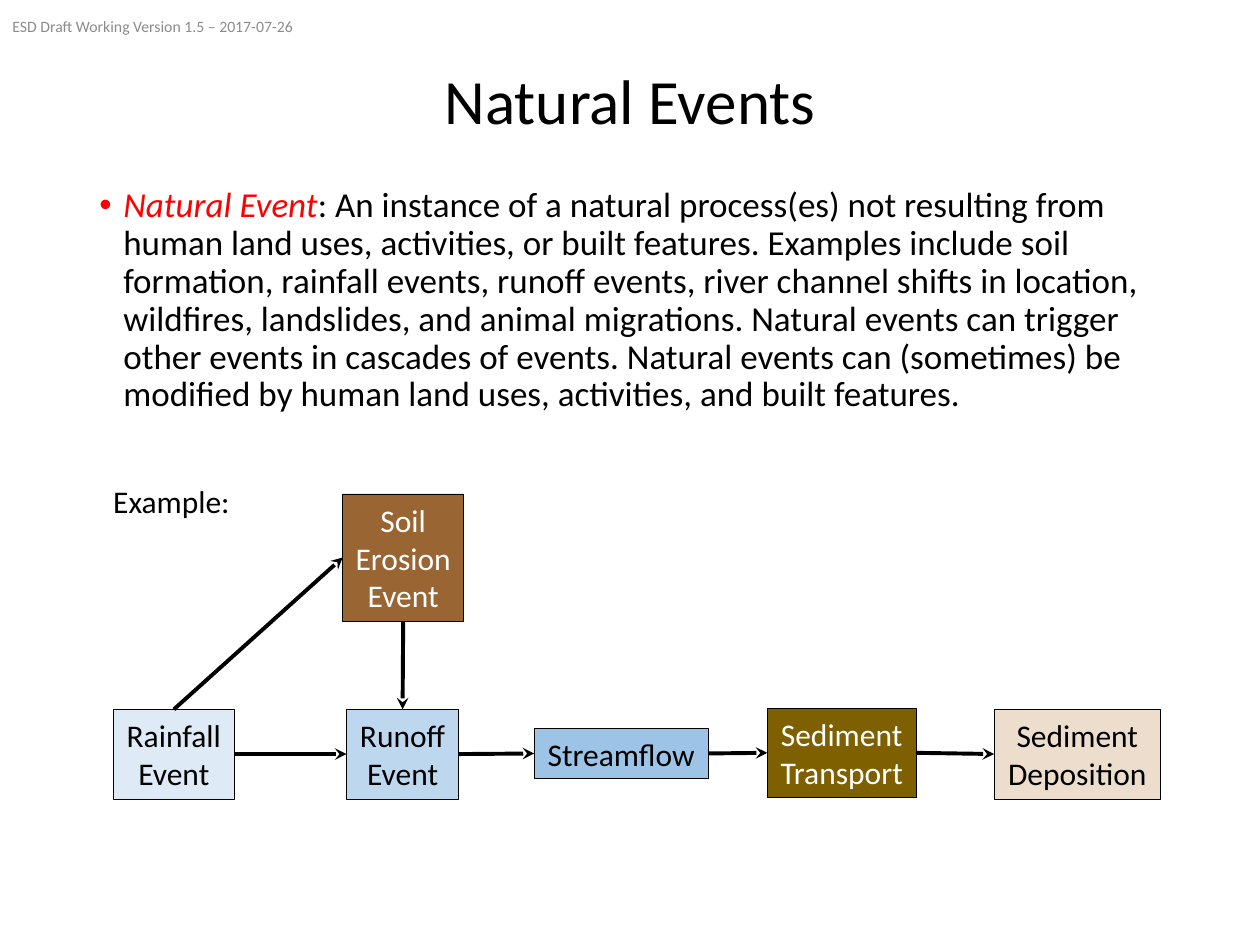
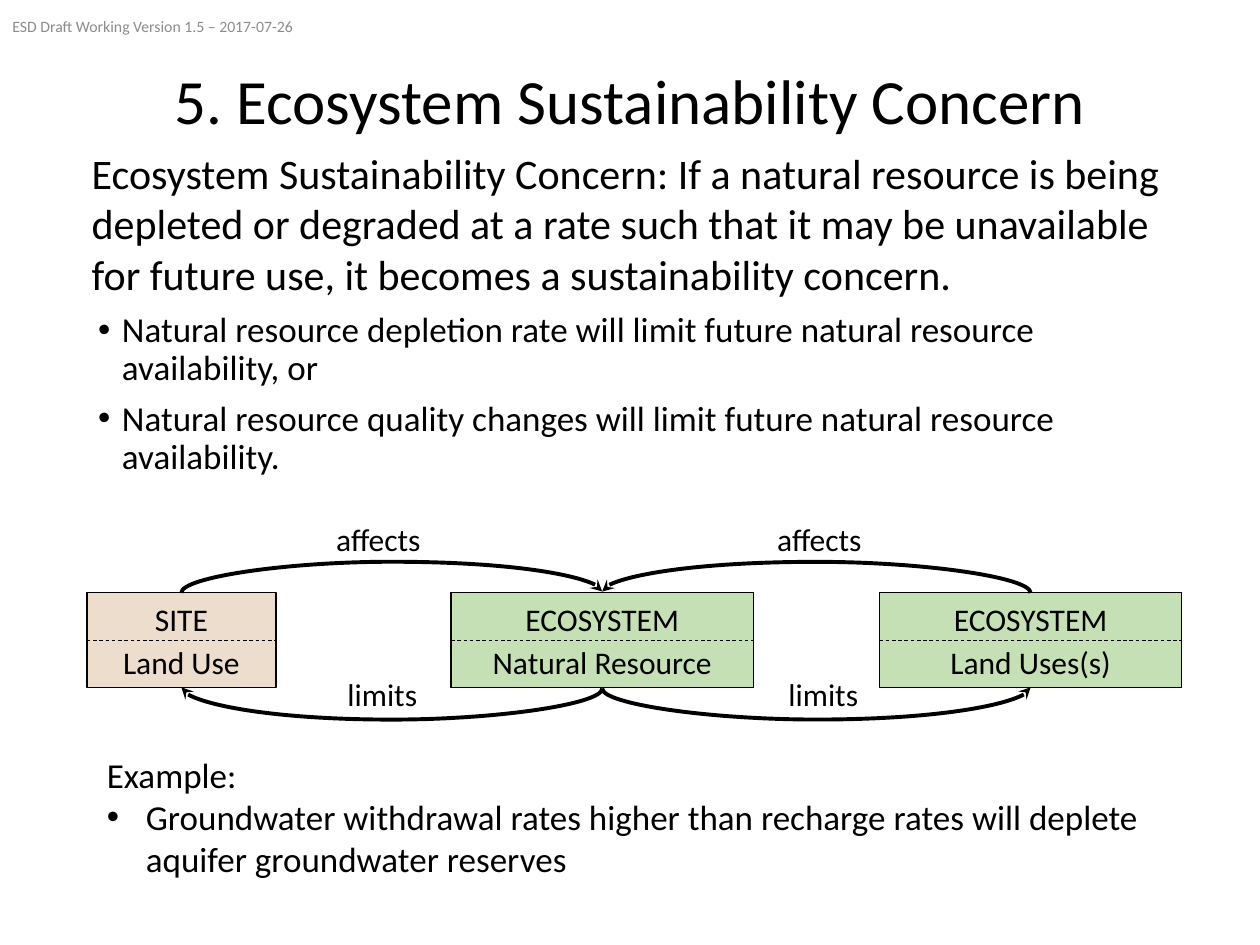
"""Build two slides on natural events and ecosystem sustainability concerns."""
from lxml import etree
from pptx import Presentation
from pptx import util as u
from pptx.dml.color import RGBColor
from pptx.enum import dml, shapes, text
from pptx.oxml import ns

COLORS = {
    "black": "000000", "white": "FFFFFF", "grey": "8C8C8C", "red": "FF0000",
    "rain": "DEEBF7", "runoff": "BDD7EE", "stream": "9DC3E6",
    "soil": "996633", "transport": "7F6000", "sand": "ECDDCC", "green": "C5E0B4",
}
COLUMNS, ROWS = 100, 75
TOP, LEFT, BOTTOM, RIGHT = range(4)
LEFT_ALIGN, CENTER = text.PP_ALIGN.LEFT, text.PP_ALIGN.CENTER
SMALL_INDENT, LARGE_INDENT = 1.9, 3.1


class Deck:
    """Hold the shared style and the current slide."""

    font = "Calibri"

    def __init__(self):
        self.file = Presentation()
        self.file.slide_width, self.file.slide_height = u.Inches(10), u.Inches(7.5)
        self.page = None

    def x(self, columns):
        return round(self.file.slide_width * columns / COLUMNS)

    def y(self, rows):
        return round(self.file.slide_height * rows / ROWS)

    def area(self, col, row, cols, rows):
        return self.x(col), self.y(row), self.x(cols), self.y(rows)

    def color(self, name):
        return RGBColor.from_string(COLORS[name])

    def start(self, title):
        self.page = self.file.slides.add_slide(self.file.slide_layouts[6])
        heading = self.box(6.9, 4, 86.2, 8.5, anchor=text.MSO_ANCHOR.MIDDLE)
        self.para(heading, title, 36, align=CENTER, spacing=0.9)
        version = self.box(0, 0.1, 33.8, 4, anchor=text.MSO_ANCHOR.MIDDLE)
        self.para(version, "ESD Draft Working Version 1.5 – 2017-07-26", 9, "grey")

    def box(self, col, row, cols, rows, wrap=True, anchor=text.MSO_ANCHOR.TOP):
        box = self.page.shapes.add_textbox(*self.area(col, row, cols, rows))
        box.text_frame.word_wrap = wrap
        box.text_frame.vertical_anchor = anchor
        return box

    def label(self, col, row, cols, words):
        self.para(self.box(col, row, cols, 4, wrap=False), words, 18)

    def para(self, box, runs, size, color="black", align=LEFT_ALIGN,
             spacing=None, before=0, indent=None):
        frame = box.text_frame
        para = frame.paragraphs[0]
        if para.runs:
            para = frame.add_paragraph()
            para.space_before = u.Pt(before)
        if indent:
            props = para._p.get_or_add_pPr()
            props.set("marL", str(self.x(indent)))
            props.set("indent", str(-self.x(indent)))
            etree.SubElement(props, ns.qn("a:buFont"), typeface="Arial")
            etree.SubElement(props, ns.qn("a:buChar"), char="•")
        para.alignment = align
        if spacing:
            para.line_spacing = spacing
        for words, tint, italic in [(runs, color, False)] if isinstance(runs, str) else runs:
            span = para.add_run()
            span.text = words
            span.font.name, span.font.size = self.font, u.Pt(size)
            span.font.italic = italic
            span.font.color.rgb = self.color(tint)

    def node(self, col, row, cols, rows, lines, fill, color="black",
             border=0.25, before=0, wrap=False):
        box = self.page.shapes.add_shape(
            shapes.MSO_SHAPE.RECTANGLE, *self.area(col, row, cols, rows))
        box.shadow.inherit = False
        box.fill.solid()
        box.fill.fore_color.rgb = self.color(fill)
        box.line.color.rgb = self.color("black")
        box.line.width = u.Pt(border)
        box.text_frame.word_wrap = wrap
        for words in lines:
            self.para(box, words, 18, color, CENTER, before=before)
        return box

    def line(self, kind=shapes.MSO_CONNECTOR.STRAIGHT, ends=(0, 0, 0, 0),
             width=2.25, dash=None, arrow=True):
        line = self.page.shapes.add_connector(kind, *ends)
        line.line.color.rgb = self.color("black")
        line.line.width = u.Pt(width)
        if dash:
            line.line.dash_style = dash
        if arrow:
            etree.SubElement(line.line._get_or_add_ln(), ns.qn("a:tailEnd"), type="stealth")
        etree.SubElement(line._element.spPr, ns.qn("a:effectLst"))
        return line

    def arrow(self, source, source_side, target, target_side):
        line = self.line()
        line.begin_connect(source, source_side)
        line.end_connect(target, target_side)

    def divider(self, box, row):
        self.line(ends=(box.left, self.y(row), box.left + box.width, self.y(row)),
                  width=0.5, dash=dml.MSO_LINE.DASH, arrow=False)

    def arc(self, source, target, row, rise):
        begin, end = (box.left + box.width // 2 for box in (source, target))
        span, thin = abs(end - begin), self.x(0.1)
        curve = self.line(shapes.MSO_CONNECTOR.CURVE)
        curve.left, curve.top = (begin + end - thin) // 2, self.y(row) - span // 2
        curve.width, curve.height = thin, span
        frame = curve._element.spPr.find(ns.qn("a:xfrm"))
        frame.set("rot", str(90 * 60000))
        frame.set("flipH", "1")
        frame.set("flipV", "1" if end > begin else "0")
        guides = curve._element.spPr.find(ns.qn("a:prstGeom")).get_or_add_avLst()
        bend = round(100000 * self.y(rise) / thin)
        etree.SubElement(guides, ns.qn("a:gd"), name="adj1", fmla=f"val {bend}")


def natural_events(deck):
    deck.start("Natural Events")
    body = deck.box(6.9, 14.4, 86.2, 20.4)
    definition = (
        ": An instance of a natural process(es) not resulting from human land uses, "
        "activities, or built features. Examples include soil formation, rainfall events, "
        "runoff events, river channel shifts in location, wildfires, landslides, and animal "
        "migrations. Natural events can trigger other events in cascades of events. Natural "
        "events can (sometimes) be modified by human land uses, activities, and built features.")
    deck.para(body, [("Natural Event", "red", True), (definition, "black", False)],
              20, spacing=0.9, indent=SMALL_INDENT)
    deck.label(8, 37.8, 11.4, "Example:")
    rainfall = deck.node(9, 56.3, 9.6, 7.1, ["Rainfall", "Event"], "rain")
    runoff = deck.node(27.5, 56.3, 8.9, 7.1, ["Runoff", "Event"], "runoff")
    erosion = deck.node(27.2, 39.2, 9.6, 10.1, ["Soil", "Erosion", "Event"], "soil", "white")
    stream = deck.node(42.4, 57.8, 13.8, 4, ["Streamflow"], "stream")
    transport = deck.node(60.9, 56.2, 11.8, 7.1, ["Sediment", "Transport"], "transport", "white")
    deposition = deck.node(78.9, 56.3, 13.2, 7.1, ["Sediment", "Deposition"], "sand")
    deck.arrow(rainfall, TOP, erosion, LEFT)
    deck.arrow(erosion, BOTTOM, runoff, TOP)
    cascade = [rainfall, runoff, stream, transport, deposition]
    for source, target in zip(cascade, cascade[1:]):
        deck.arrow(source, RIGHT, target, LEFT)


def sustainability_concern(deck):
    deck.start("5. Ecosystem Sustainability Concern")
    summary = deck.box(6.3, 11.2, 90, 13.1)
    deck.para(summary, "Ecosystem Sustainability Concern: If a natural resource is being "
              "depleted or degraded at a rate such that it may be unavailable for future "
              "use, it becomes a sustainability concern.", 24)
    limits = deck.box(6.8, 24.3, 85, 14.5)
    for words in (
            "Natural resource depletion rate will limit future natural resource availability, or",
            "Natural resource quality changes will limit future natural resource availability."):
        deck.para(limits, words, 20, spacing=0.9, before=7.5, indent=SMALL_INDENT)
    top, height = 47, 7.6
    site, resource, uses = [
        deck.node(col, top, cols, height, lines, fill, border=0.75, before=3, wrap=True)
        for col, cols, lines, fill in (
            (6.9, 15, ["SITE", "Land Use"], "sand"),
            (35.8, 24, ["ECOSYSTEM", "Natural Resource"], "green"),
            (69.8, 24, ["ECOSYSTEM", "Land Uses(s)"], "green"))]
    for box in (site, resource, uses):
        deck.divider(box, top + height / 2)
    for step, outer in enumerate((site, uses)):
        deck.arc(outer, resource, top, 2.5)
        deck.arc(resource, outer, top + height, -2.5)
        deck.label(25.7 + 35 * step, 40.8, 8.8, "affects")
        deck.label(26.6 + 35 * step, 53.1, 7.6, "limits")
    example = deck.box(7.5, 59.3, 85, 11.1)
    deck.para(example, "Example:", 20)
    deck.para(example, "Groundwater withdrawal rates higher than recharge rates will deplete "
              "aquifer groundwater reserves", 20, indent=LARGE_INDENT)


def main():
    deck = Deck()
    natural_events(deck)
    sustainability_concern(deck)
    deck.file.save("out.pptx")


if __name__ == "__main__":
    main()
